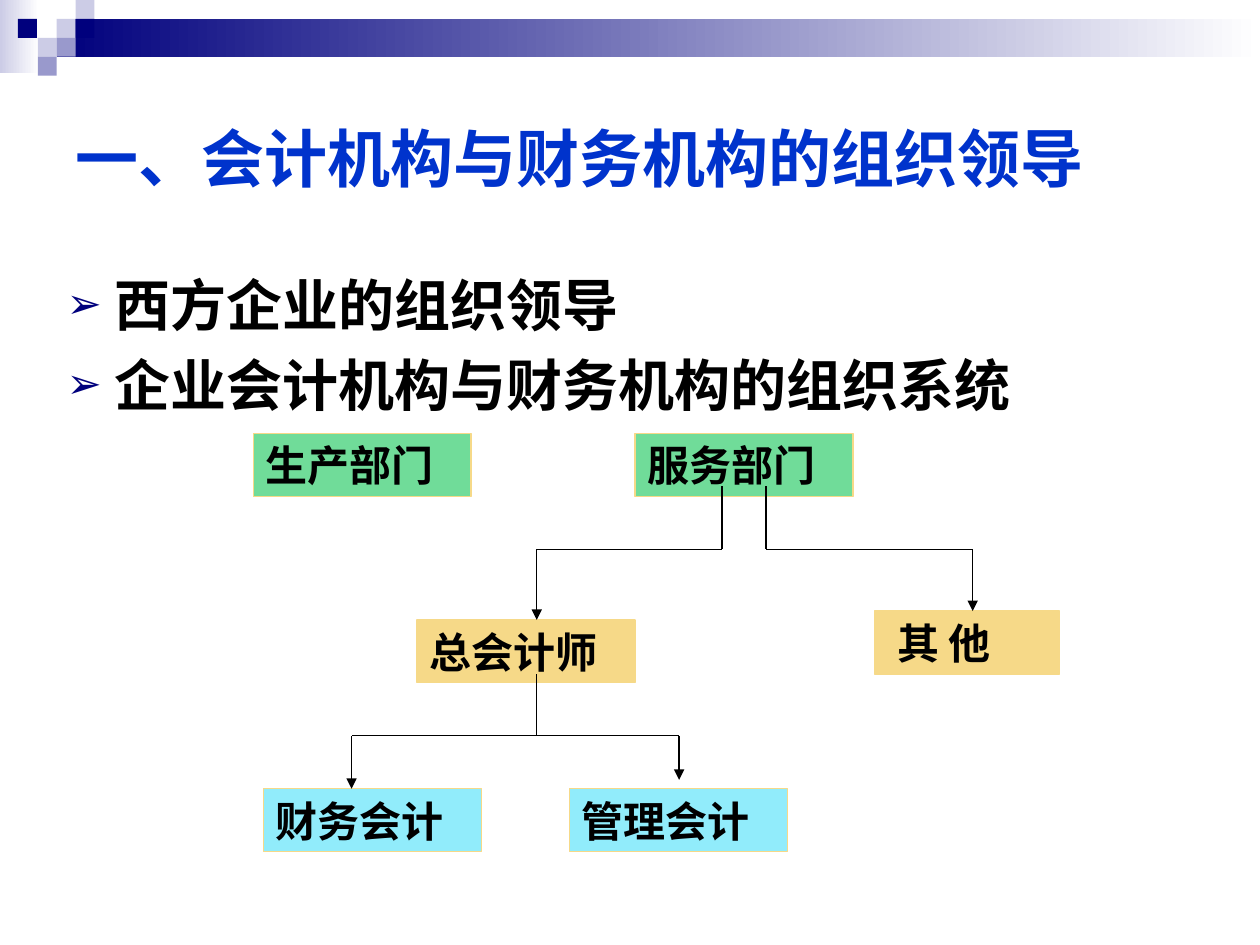
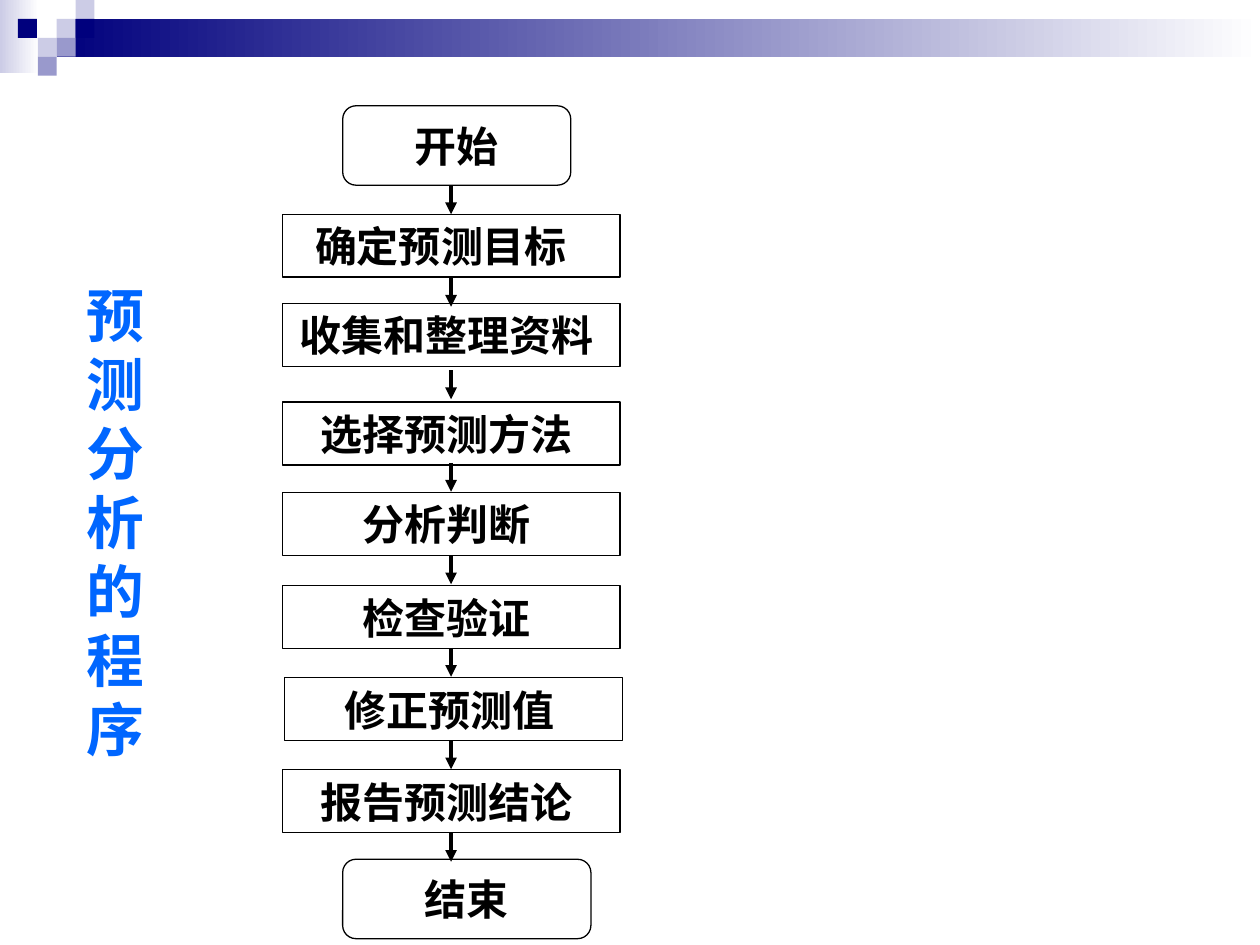
from lxml import etree
from pptx import Presentation
from pptx.dml.color import RGBColor
from pptx.enum.shapes import MSO_CONNECTOR as CONN, MSO_SHAPE as SHAPE
from pptx.enum.text import MSO_ANCHOR as ANCHOR, PP_ALIGN as ALIGN
from pptx.oxml.ns import qn
from pptx.util import Inches, Pt

# Shared style
NAVY, LILAC, MAUVE = "00007D", "CCCCE6", "9999CC"
BLACK, WHITE = "000000", "FFFFFF"
GREEN, SAND, SKY = "70DC99", "F6D988", "91ECFB"
HEAD_FONT, BOX_FONT = "Arial", "Comic Neue"
WIDTH, HEIGHT = 10, 7.5
TILE = 0.15       # side of a square in the corner mosaic
BOX_H = 0.5       # height of a diagram box


def rgb(color):
    return RGBColor.from_string(color)


def write(sp, lines, size=24, font=BOX_FONT, color=BLACK, align=ALIGN.LEFT,
          left=0.1, right=0.1, before=0, spacing=None, bullet=None, wrap=True,
          anchor=ANCHOR.MIDDLE):
    """Fill a shape with bold text, one paragraph per line."""
    tf = sp.text_frame
    tf.word_wrap, tf.vertical_anchor = wrap, anchor
    tf.margin_left, tf.margin_right = Inches(left), Inches(right)
    tf.margin_top = tf.margin_bottom = Inches(0.05)
    for i, line in enumerate(lines):
        p = tf.paragraphs[0] if i == 0 else tf.add_paragraph()
        p.alignment = align
        p.space_before = Pt(before if i else 0)
        if spacing:
            p.line_spacing = Pt(spacing)
        if bullet:
            add_bullet(p, bullet)
        r = p.add_run()
        r.text = line
        r.font.size, r.font.name, r.font.bold = Pt(size), font, True
        r.font.color.rgb = rgb(color)


def add_bullet(p, char, indent=0.38):
    pPr = p._p.get_or_add_pPr()
    pPr.set("marL", str(Inches(indent)))
    pPr.set("indent", str(-Inches(indent)))
    clr = etree.SubElement(pPr, qn("a:buClr"))
    etree.SubElement(clr, qn("a:srgbClr"), val=NAVY)
    etree.SubElement(pPr, qn("a:buSzPct"), val="75000")
    etree.SubElement(pPr, qn("a:buFont"), typeface=HEAD_FONT)
    etree.SubElement(pPr, qn("a:buChar"), char=char)


def add_text(s, x, y, w, h, lines, **fmt):
    sp = s.shapes.add_textbox(Inches(x), Inches(y), Inches(w), Inches(h))
    write(sp, lines, font=HEAD_FONT, **fmt)


def add_box(s, x, y, w, h, fill=None, line=None, kind=SHAPE.RECTANGLE):
    sp = s.shapes.add_shape(kind, Inches(x), Inches(y), Inches(w), Inches(h))
    sp.shadow.inherit = False
    if fill:
        sp.fill.solid()
        sp.fill.fore_color.rgb = rgb(fill)
    else:
        sp.fill.background()
    if line:
        sp.line.color.rgb = rgb(line)
        sp.line.width = Pt(0.75)
    else:
        sp.line.fill.background()
    return sp


def add_fade(s, x, y, w, h, color):
    """Bar that fades to white on its right."""
    fill = add_box(s, x, y, w, h).fill
    fill.gradient()
    fill.gradient_angle = 0
    for stop, c in zip(fill.gradient_stops, (color, WHITE)):
        stop.color.rgb = rgb(c)


def add_route(s, *points, width=0.75, arrow=True):
    """Straight lines through the points, with an arrowhead at the last."""
    for start, end in zip(points, points[1:]):
        ends = [Inches(v) for v in (*start, *end)]
        c = s.shapes.add_connector(CONN.STRAIGHT, *ends)
        c.line.color.rgb = rgb(BLACK)
        c.line.width = Pt(width)
        if arrow and end == points[-1]:
            etree.SubElement(c.line._get_or_add_ln(), qn("a:tailEnd"),
                             type="triangle")
        etree.SubElement(c._element.spPr, qn("a:effectLst"))


def new_slide(prs):
    """Blank slide with the top band and the corner mosaic."""
    s = prs.slides.add_slide(prs.slide_layouts[6])
    add_fade(s, 0, 0, 0.31, 0.58, LILAC)
    add_fade(s, 3 * TILE, TILE, WIDTH - 3 * TILE, 2 * TILE, NAVY)
    tiles = [(3, 1, LILAC), (4, 0, LILAC), (4, 1, NAVY), (2, 2, LILAC),
             (0.95, 1, NAVY), (3, 2, MAUVE), (2, 3, MAUVE)]
    for col, row, color in tiles:
        add_box(s, col * TILE, row * TILE, TILE, TILE, color)
    return s


def organisation_slide(prs):
    s = new_slide(prs)
    add_text(s, 0.5, 0.5, 9, 1.5, ["一、会计机构与财务机构的组织领导"],
             size=36, color="0033CC")
    add_text(s, 0.43, 2.1, 9, 4.25,
             ["西方企业的组织领导", "企业会计机构与财务机构的组织系统"],
             size=32, before=8, spacing=38, bullet="➢", anchor=ANCHOR.TOP)

    # Departments, offices and sections
    units = [("生产部门", 2.01, 3.44, 1.73, GREEN, 0.1),
             ("服务部门", 5.04, 3.44, 1.73, GREEN, 0.1),
             ("总会计师", 3.31, 4.92, 1.73, SAND, 0.1),
             ("其 他", 6.94, 4.85, 1.47, SAND, 0.18),
             ("财务会计", 2.09, 6.26, 1.73, SKY, 0.1),
             ("管理会计", 4.52, 6.26, 1.73, SKY, 0.1)]
    for name, x, y, w, fill, left in units:
        write(add_box(s, x, y, w, BOX_H, fill, SAND), [name], left=left)

    # Lines of command
    chief, fork, split = 4.26, 4.36, 5.84
    add_route(s, (5.73, 3.86), (5.73, fork), (chief, fork), (chief, 4.92))
    add_route(s, (6.08, 3.86), (6.08, fork), (7.72, fork), (7.72, 4.85))
    add_route(s, (chief, 5.35), (chief, split), arrow=False)
    add_route(s, (chief, split), (2.79, split), (2.79, 6.26))
    add_route(s, (chief, split), (5.39, split), (5.39, 6.19))


def forecast_slide(prs):
    s = new_slide(prs)
    add_text(s, 0.59, 2.2, 0.7, 3.88, list("预测分析的程序"),
             size=33, color="0066FF", spacing=39.5)

    # Steps from top to bottom
    centred = {"align": ALIGN.CENTER, "right": 0.17}
    steps = [("确定预测目标", 2.24, 1.7, {"left": 0.26}),
             ("收集和整理资料", 2.24, 2.41, centred),
             ("选择预测方法", 2.24, 3.19, centred),
             ("分析判断", 2.24, 3.91, centred),
             ("检查验证", 2.24, 4.65, centred),
             ("修正预测值", 2.26, 5.38, centred),
             ("报告预测结论", 2.24, 6.11, centred)]
    for name, x, y, fmt in steps:
        write(add_box(s, x, y, 2.68, BOX_H, line=BLACK), [name], **fmt)

    # Start and end
    for name, y, w in [("开始", 0.84, 1.81), ("结束", 6.82, 1.97)]:
        sp = add_box(s, 2.72, y, w, 0.63, line=BLACK,
                     kind=SHAPE.FLOWCHART_ALTERNATE_PROCESS)
        write(sp, [name], align=ALIGN.CENTER, wrap=False)

    # Arrows at an even pitch
    first, last, length = 1.47, 6.61, 0.23
    pitch = (last - first) / len(steps)
    for i in range(len(steps) + 1):
        y = first + i * pitch
        add_route(s, (3.58, y), (3.58, y + length), width=2.25)


def main():
    prs = Presentation()
    prs.slide_width, prs.slide_height = Inches(WIDTH), Inches(HEIGHT)
    organisation_slide(prs)
    forecast_slide(prs)
    prs.save("out.pptx")


if __name__ == "__main__":
    main()
